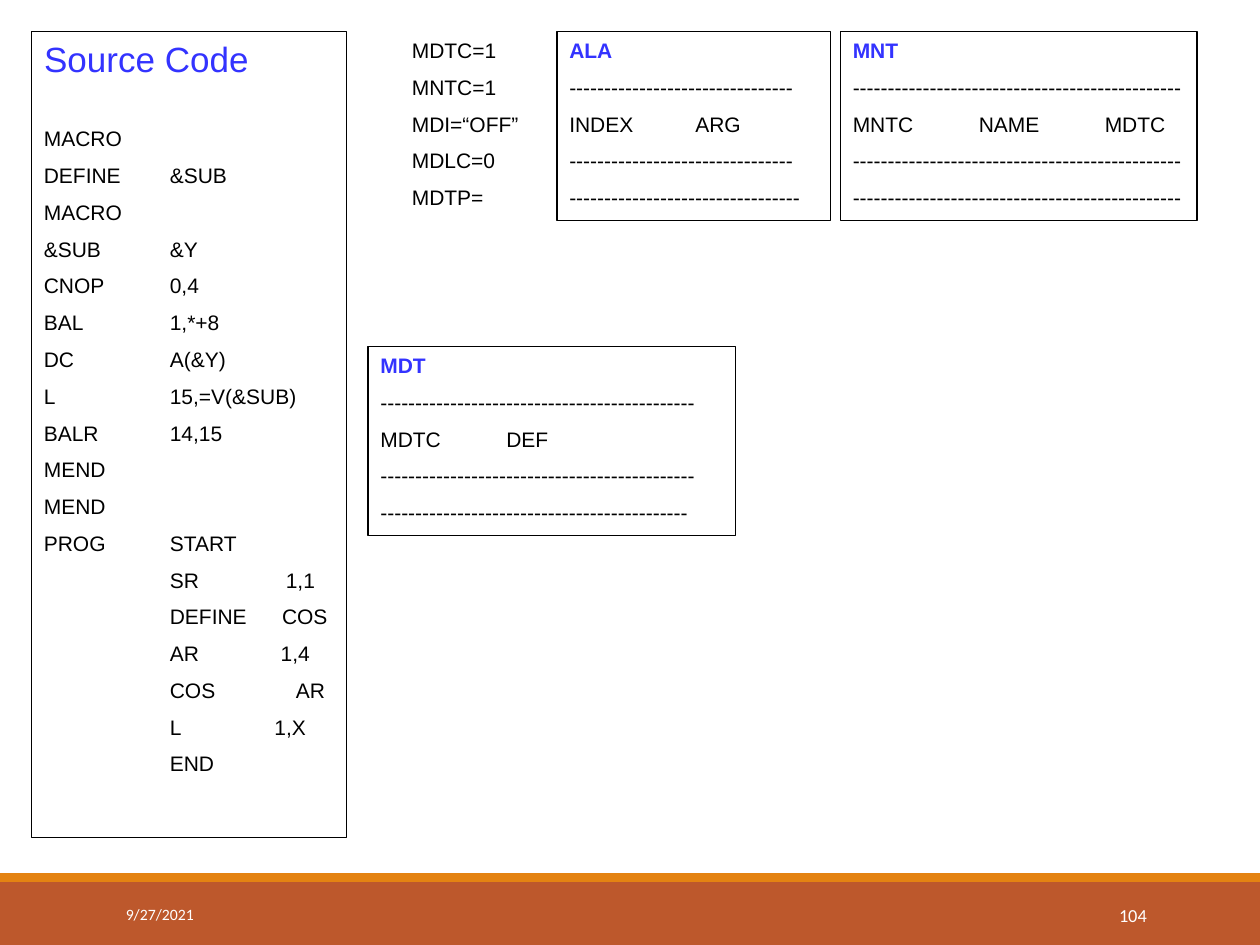
from dataclasses import dataclass

import lxml.etree
import pptx
import pptx.dml.color
import pptx.enum.shapes
import pptx.enum.text
import pptx.oxml.ns
import pptx.util

Inches = pptx.util.Inches
Pt = pptx.util.Pt
RGB = pptx.dml.color.RGBColor
Align = pptx.enum.text.PP_ALIGN
Anchor = pptx.enum.text.MSO_ANCHOR
RECT = pptx.enum.shapes.MSO_SHAPE.RECTANGLE

BLACK = RGB(0x00, 0x00, 0x00)
WHITE = RGB(0xFF, 0xFF, 0xFF)
BLUE = RGB(0x33, 0x33, 0xFF)
RUST = RGB(0xBD, 0x58, 0x2C)
AMBER = RGB(0xE4, 0x83, 0x12)

GAP = Pt(6.6)  # space between lines


@dataclass
class Line:
    text: str
    stops: tuple = (1, 2)  # tab stops in inches
    color: RGB = BLACK
    bold: bool = False
    size: float = 12
    font: str = "Arial"
    align: Align = Align.LEFT


@dataclass
class Panel:
    place: tuple  # left, top, width, height in inches
    name: str
    heads: str
    rules: tuple  # dash count of each ruled line


CODE = [
    Line(text)
    for text in (
        "MACRO", "DEFINE\t&SUB", "MACRO", "&SUB\t&Y", "CNOP\t0,4",
        "BAL\t1,*+8", "DC\tA(&Y)", "L\t15,=V(&SUB)", "BALR\t14,15",
        "MEND", "MEND", "PROG\tSTART",
    )
] + [
    Line("\tSR\t1,1", (1, 1.92)),
    Line("\tDEFINE\tCOS", (1, 1.89)),
    Line("\tAR\t1,4", (1, 1.88)),
    Line("\tCOS\tAR"),
    Line("\tL\t1,X", (1, 1.83)),
    Line("\tEND"),
]

STATE = ("MDTC=1", "MNTC=1", "MDI=“OFF”", "MDLC=0", "MDTP=")

PANELS = [
    Panel((4.42, 0.25, 2.17, 1.5), "ALA", "INDEX\tARG", (32, 32, 33)),
    Panel((2.92, 2.75, 2.92, 1.5), "MDT", "MDTC\tDEF", (45, 45, 44)),
    Panel((6.67, 0.25, 2.83, 1.5), "MNT", "MNTC\tNAME\tMDTC", (47, 47, 47)),
]


def add_tabs(para, stops: tuple) -> None:
    qn = pptx.oxml.ns.qn
    tabs = lxml.etree.SubElement(para._p.get_or_add_pPr(), qn("a:tabLst"))
    for stop in stops:
        lxml.etree.SubElement(
            tabs, qn("a:tab"), pos=str(Inches(stop)), algn="l"
        )


def write(shape, lines: list, top: float = 0.05, anchor=Anchor.TOP) -> None:
    frame = shape.text_frame
    frame.word_wrap = True
    frame.auto_size = pptx.enum.text.MSO_AUTO_SIZE.NONE
    frame.vertical_anchor = anchor
    frame.margin_left = frame.margin_right = Inches(0.1)
    frame.margin_top, frame.margin_bottom = Inches(top), Inches(0.05)
    for i, line in enumerate(lines):
        para = frame.add_paragraph() if i else frame.paragraphs[0]
        para.alignment = line.align
        para.space_before = GAP if i else Pt(0)
        if "\t" in line.text:
            add_tabs(para, line.stops)
        run = para.add_run()
        run.text = line.text
        run.font.name = line.font
        run.font.size = Pt(line.size)
        run.font.bold = line.bold
        run.font.color.rgb = line.color


def add_box(slide, place: tuple):
    """Add an outlined box without fill."""
    box = slide.shapes.add_shape(RECT, *map(Inches, place))
    box.shadow.inherit = False
    box.fill.background()
    box.line.color.rgb = BLACK
    box.line.width = Pt(0.75)
    return box


def add_bar(slide, top: float, height: float, color: RGB) -> None:
    bar = slide.shapes.add_shape(
        RECT, 0, Inches(top), Inches(10), Inches(height)
    )
    bar.shadow.inherit = False
    bar.fill.solid()
    bar.fill.fore_color.rgb = color
    bar.line.fill.background()


def add_text(slide, place: tuple, lines: list, anchor=Anchor.TOP) -> None:
    box = slide.shapes.add_textbox(*map(Inches, place))
    write(box, lines, anchor=anchor)


def add_panel(slide, panel: Panel) -> None:
    first, *rest = [Line("-" * count) for count in panel.rules]
    head = Line(panel.name, color=BLUE, bold=True)
    box = add_box(slide, panel.place)
    write(box, [head, first, Line(panel.heads), *rest])


def main() -> None:
    deck = pptx.Presentation()
    deck.slide_width, deck.slide_height = Inches(10), Inches(7.5)
    slide = deck.slides.add_slide(deck.slide_layouts[5])

    # Footer bars
    add_bar(slide, 7, 0.5, RUST)
    add_bar(slide, 6.93, 0.07, AMBER)

    # Title and source code
    title = slide.shapes.title
    title.left, title.top = Inches(0.25), Inches(0.25)
    title.width, title.height = Inches(2.5), Inches(0.5)
    write(title, [Line("Source Code", color=BLUE, size=20)])
    write(add_box(slide, (0.25, 0.25, 2.5, 6.4)), CODE, top=0.75)

    # Counters and tables
    add_text(slide, (3.17, 0.25, 1.08, 1.5), [Line(text) for text in STATE])
    for panel in PANELS:
        add_panel(slide, panel)

    # Date and slide number
    date = Line("9/27/2021", color=WHITE, size=9, font="Calibri")
    page = Line(
        "104", color=WHITE, size=10.5, font="Calibri", align=Align.RIGHT
    )
    add_text(slide, (0.9, 7.06, 2.03, 0.4), [date], Anchor.MIDDLE)
    add_text(slide, (8.12, 7.06, 1.08, 0.4), [page], Anchor.MIDDLE)

    deck.save("out.pptx")


if __name__ == "__main__":
    main()
